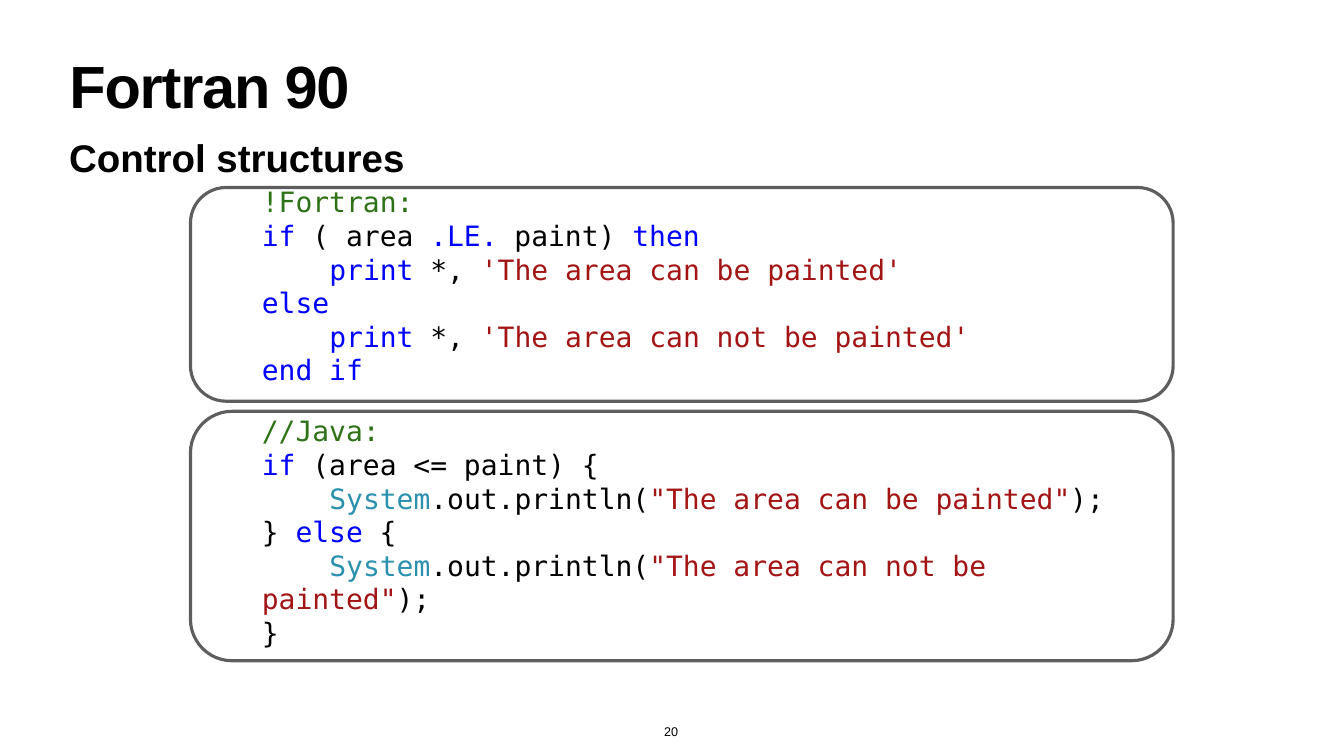
from pptx import Presentation
from pptx.dml.color import RGBColor
from pptx.enum import shapes, text
from pptx.util import Cm, Pt

SANS, MONO = "Arial", "DejaVu Sans Mono"
BLACK, GREY = "000000", "5E5E5E"
GREEN, BLUE, RED, TEAL = "2E7116", "0000FF", "A31515", "2B91AF"
TAB = 3.4  # four characters of code, in cm

# Each line of code: indent level, then (text, colour) runs
FORTRAN = [
    (0, [("!Fortran:", GREEN)]),
    (0, [("if", BLUE), (" ( area", BLACK), (" .LE.", BLUE),
         (" paint) ", BLACK), ("then", BLUE)]),
    (1, [("print", BLUE), (" *, ", BLACK),
         ("'The area can be painted'", RED)]),
    (0, [("else", BLUE)]),
    (1, [("print", BLUE), (" *, ", BLACK),
         ("'The area can not be painted'", RED)]),
    (0, [("end if", BLUE)]),
]


def show(words):
    """One Java print statement."""
    return (1, [("System", TEAL), (".out.println(", BLACK),
                (f'"{words}"', RED), (");", BLACK)])


JAVA = [
    (0, [("//Java:", GREEN)]),
    (0, [("if", BLUE), (" (area <= paint) {", BLACK)]),
    show("The area can be painted"),
    (0, [("} ", BLACK), ("else", BLUE), (" {", BLACK)]),
    show("The area can not be painted"),
    (0, [("}", BLACK)]),
]


def paint(hue):
    return RGBColor.from_string(hue)


def write(slide, lines, box, size, font=SANS, bold=False, inset=(0.15, 0.15),
          wrap=True, align=None, anchor=text.MSO_ANCHOR.TOP,
          space=None, track=0):
    """Add a text box; lines is a string or a list of (level, runs)."""
    if isinstance(lines, str):
        lines = [(0, [(lines, BLACK)])]
    frame = slide.shapes.add_textbox(*map(Cm, box)).text_frame
    frame.word_wrap = wrap
    frame.vertical_anchor = anchor
    frame.margin_left = frame.margin_right = Cm(inset[0])
    frame.margin_top = frame.margin_bottom = Cm(inset[1])
    for i, (level, runs) in enumerate(lines):
        para = frame.add_paragraph() if i else frame.paragraphs[0]
        para.alignment = align
        para.line_spacing = space
        if level:
            # First-line indent, so that wrapped code returns to the margin
            para._p.get_or_add_pPr().set("indent", str(Cm(level * TAB)))
        for words, hue in runs:
            run = para.add_run()
            run.text = words
            run.font.name, run.font.size = font, Pt(size)
            run.font.bold = bold
            run.font.color.rgb = paint(hue)
            if track:
                run.font._element.set("spc", str(track))


def panel(slide, top, high):
    """Add a rounded outline around a code block."""
    shape = slide.shapes.add_shape(
        shapes.MSO_SHAPE.ROUNDED_RECTANGLE,
        Cm(9.6), Cm(top), Cm(49.53), Cm(high))
    shape.shadow.inherit = False
    shape.fill.background()
    shape.line.color.rgb = paint(GREY)
    shape.line.width = Pt(4.5)


def main():
    deck = Presentation()
    deck.slide_width, deck.slide_height = Cm(67.74), Cm(38.1)
    slide = deck.slides.add_slide(deck.slide_layouts[6])

    # Headings
    write(slide, "Fortran 90", (3.35, 3, 61.04, 3.99), 85,
          bold=True, space=0.8, track=-170)
    write(slide, "Control structures", (3.35, 6.6, 61.04, 2.59), 55,
          bold=True, inset=(0.13, 0.13))

    # Code blocks and their outlines
    for code, top, wide in ((FORTRAN, 9.19, 40.59), (JAVA, 20.73, 45.09)):
        write(slide, code, (12.95, top, wide, 10.52), 40,
              font=MONO, inset=(0.25, 0.13))
    for top, high in ((9.45, 10.77), (20.73, 12.57)):
        panel(slide, top, high)

    # Page number
    write(slide, "20", (33.32, 36.35, 1.02, 1.04), 18, wrap=False,
          align=text.PP_ALIGN.CENTER, anchor=text.MSO_ANCHOR.BOTTOM)

    deck.save("out.pptx")


if __name__ == "__main__":
    main()
